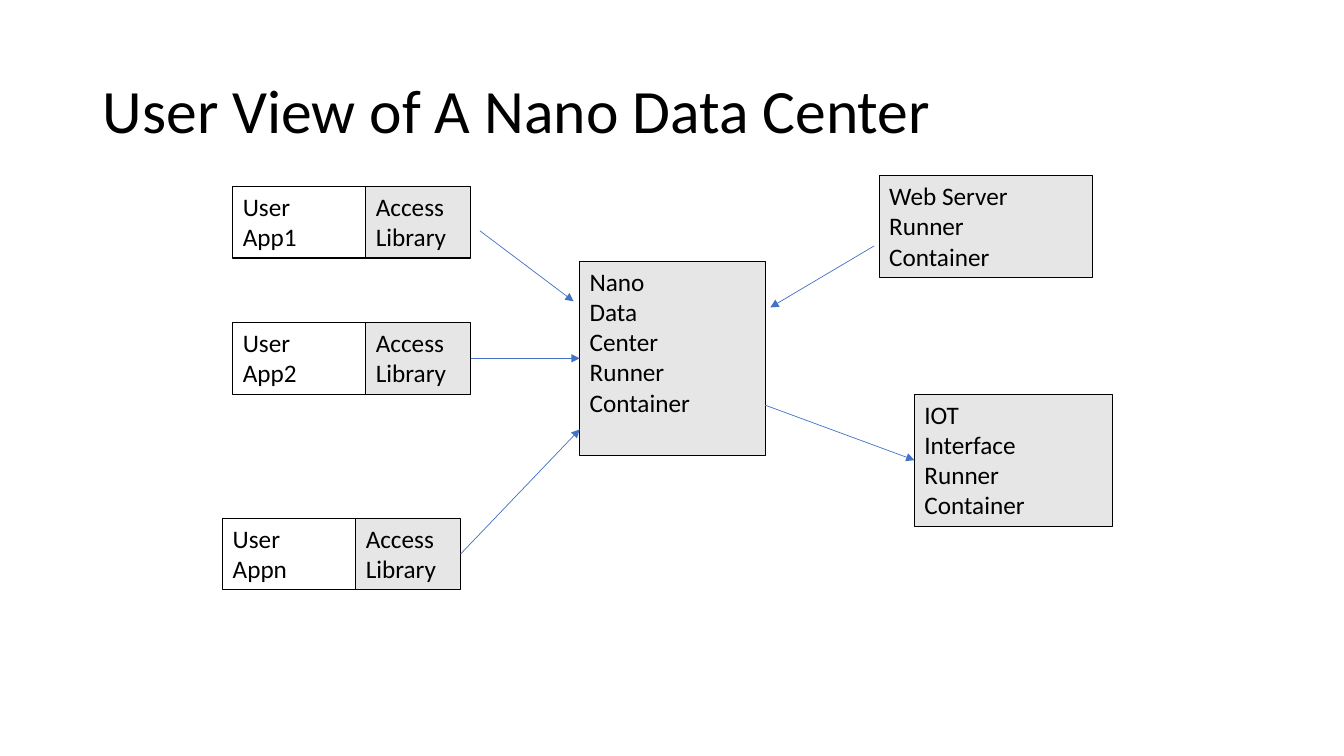
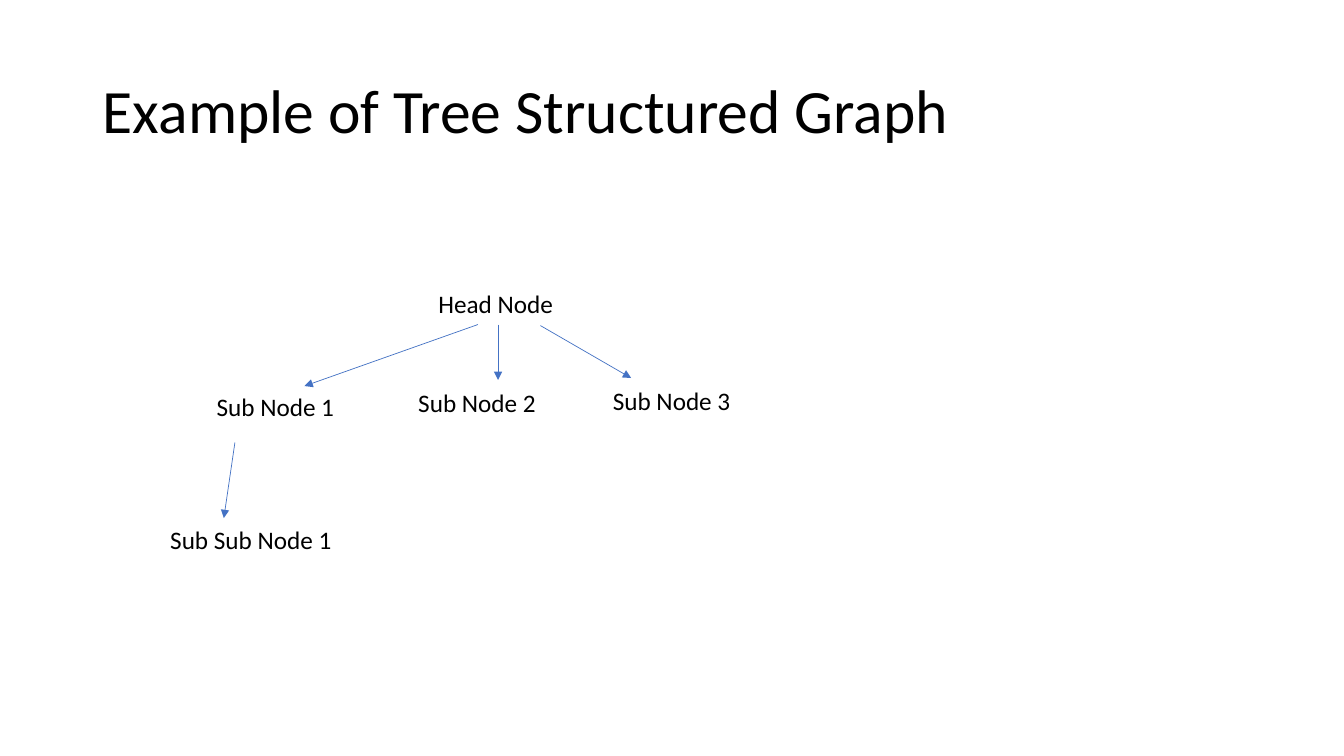
from lxml import etree
from pptx import Presentation
from pptx.dml.color import RGBColor
from pptx.enum import shapes, text
from pptx.oxml import ns
from pptx.util import Inches, Pt

BLACK = RGBColor(0x00, 0x00, 0x00)
GREY = RGBColor(0xE7, 0xE6, 0xE6)
BLUE = RGBColor(0x44, 0x72, 0xC4)
FONT = "Calibri"
LEFT, RIGHT = 1, 3


def write(frame, content, size=18, color=BLACK, spacing=None, anchor=text.MSO_ANCHOR.TOP):
    """Fill a text frame with one left-aligned paragraph per line."""
    frame.word_wrap = True
    frame.auto_size = text.MSO_AUTO_SIZE.NONE
    frame.vertical_anchor = anchor
    for index, line in enumerate(content.split("\n")):
        para = frame.add_paragraph() if index else frame.paragraphs[0]
        para.alignment = text.PP_ALIGN.LEFT
        if spacing:
            para.line_spacing = spacing
        span = para.add_run()
        span.text = line
        span.font.name = FONT
        span.font.size = Pt(size)
        span.font.color.rgb = color


class Diagram:
    """Hold the deck, its style and the slide being drawn."""

    def __init__(self):
        self.deck = Presentation()
        self.deck.slide_width = Inches(13.33)
        self.deck.slide_height = Inches(7.5)
        self.page = None

    def start(self, title):
        """Add a slide with its title."""
        self.page = self.deck.slides.add_slide(self.deck.slide_layouts[5])
        holder = self.page.shapes.title
        holder.left, holder.top = Inches(0.92), Inches(0.4)
        holder.width, holder.height = Inches(11.5), Inches(1.45)
        write(holder.text_frame, title, size=44, spacing=0.9, anchor=text.MSO_ANCHOR.MIDDLE)

    def box(self, content, left, top, width, height, fill=GREY):
        """Add an outlined rectangle with text."""
        box = self.page.shapes.add_shape(
            shapes.MSO_SHAPE.RECTANGLE, Inches(left), Inches(top), Inches(width), Inches(height))
        box.shadow.inherit = False
        if fill is None:
            box.fill.background()
        else:
            box.fill.solid()
            box.fill.fore_color.rgb = fill
        box.line.color.rgb = BLACK
        box.line.width = Pt(0.75)
        write(box.text_frame, content)
        return box

    def app(self, name, left, top):
        """Add a user application and return its access library box."""
        width, height = 1.32, 0.71
        self.box(f"User\n{name}", left, top, width, height, fill=None)
        return self.box("Access\nLibrary", left + width, top, 1.04, height)

    def node(self, content, left, top, width=1.4):
        """Add a plain text node of the tree."""
        label = self.page.shapes.add_textbox(
            Inches(left), Inches(top), Inches(width), Inches(0.4))
        write(label.text_frame, content)

    def arrow(self, start, end, source=None, target=None):
        """Add an arrow, joined to a (box, side) pair where one is given."""
        line = self.page.shapes.add_connector(
            shapes.MSO_CONNECTOR.STRAIGHT, *map(Inches, start + end))
        if source:
            line.begin_connect(*source)
        if target:
            line.end_connect(*target)
        line.line.color.rgb = BLUE
        line.line.width = Pt(0.5)
        etree.SubElement(line.line._get_or_add_ln(), ns.qn("a:tailEnd"), type="triangle")
        etree.SubElement(line._element.spPr, ns.qn("a:effectLst"))


def draw_user_view(diagram):
    """Draw the applications and containers around the data center."""
    diagram.start("User View of A Nano Data Center")
    diagram.app("App1", 2.31, 1.85)
    second = diagram.app("App2", 2.31, 3.2)
    last = diagram.app("Appn", 2.21, 5.14)
    center = diagram.box("Nano\nData\nCenter\nRunner\nContainer", 5.75, 2.59, 1.84, 1.93)
    diagram.box("Web Server\nRunner\nContainer", 8.72, 1.74, 2.12, 1.01)
    iot = diagram.box("IOT\nInterface\nRunner\nContainer", 9.07, 3.91, 1.96, 1.31)
    diagram.arrow((4.76, 2.29), (5.69, 2.99))
    diagram.arrow((4.67, 3.55), (5.75, 3.55), (second, RIGHT), (center, LEFT))
    diagram.arrow((4.57, 5.49), (5.75, 4.26), source=(last, RIGHT))
    diagram.arrow((8.67, 2.44), (7.64, 3.05))
    diagram.arrow((7.59, 4.02), (9.07, 4.56), target=(iot, LEFT))


def draw_tree(diagram):
    """Draw the head node with its descendants."""
    diagram.start("Example of Tree Structured Graph")
    diagram.node("Head Node", 4.25, 2.81)
    diagram.node("Sub Node 1", 2.05, 3.83)
    diagram.node("Sub Node 2", 4.05, 3.79)
    diagram.node("Sub Node 3", 5.98, 3.77)
    diagram.node("Sub Sub Node 1", 1.59, 5.15, width=1.9)
    diagram.arrow((4.74, 3.22), (3.02, 3.83))
    diagram.arrow((4.94, 3.22), (4.94, 3.77))
    diagram.arrow((5.36, 3.23), (6.26, 3.75))
    diagram.arrow((2.33, 4.39), (2.22, 5.14))


def main():
    """Build and save the deck."""
    diagram = Diagram()
    draw_user_view(diagram)
    draw_tree(diagram)
    diagram.deck.save("out.pptx")


if __name__ == "__main__":
    main()
